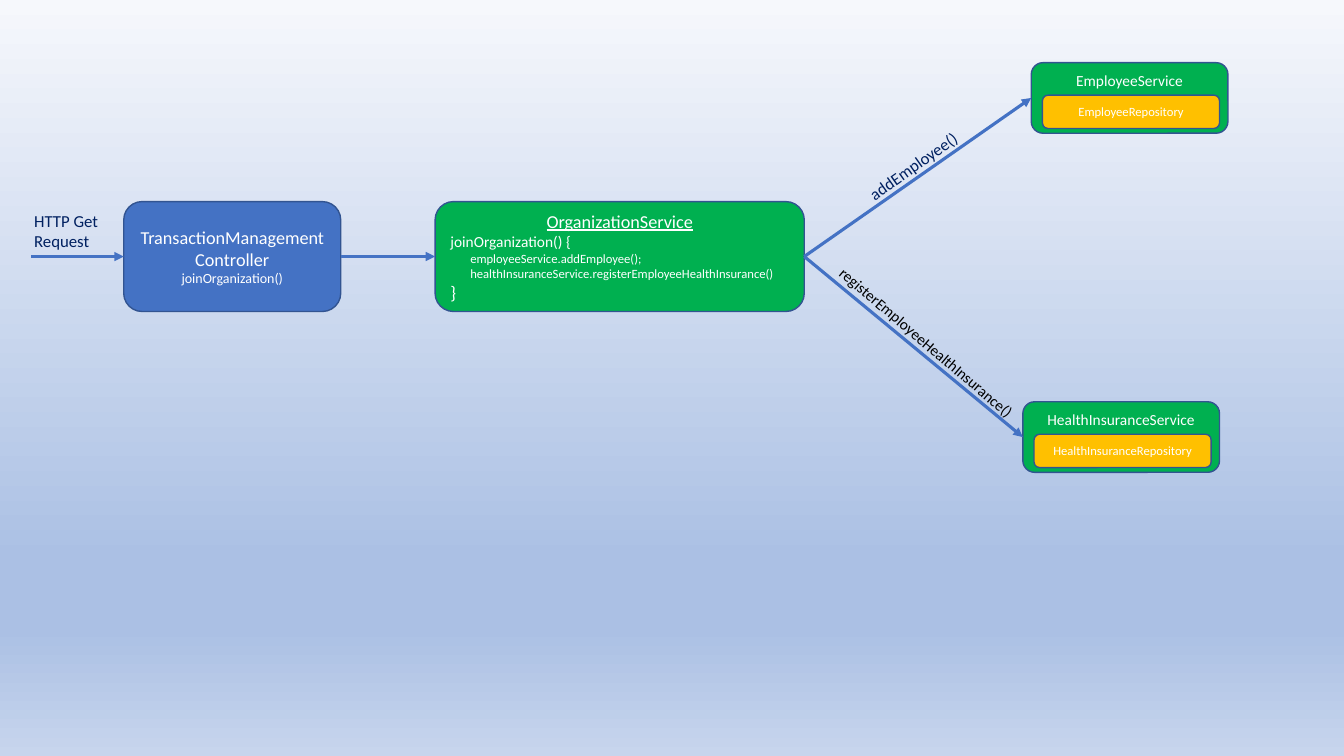
from copy import deepcopy

from lxml.etree import SubElement
from pptx import Presentation
from pptx.dml.color import RGBColor
from pptx.enum.shapes import MSO_CONNECTOR as CONN, MSO_SHAPE as SHAPE
from pptx.enum.text import MSO_ANCHOR as ANCHOR, MSO_AUTO_SIZE as AUTO, PP_ALIGN as ALIGN
from pptx.oxml.ns import qn
from pptx.util import Pt

BLUE = RGBColor(0x44, 0x72, 0xC4)
OUTLINE = RGBColor(0x32, 0x54, 0x91)
GREEN = RGBColor(0x00, 0xB0, 0x50)
AMBER = RGBColor(0xFF, 0xC0, 0x00)
NAVY = RGBColor(0x00, 0x20, 0x60)
BLACK = RGBColor(0x00, 0x00, 0x00)
WHITE = RGBColor(0xFF, 0xFF, 0xFF)
MIST = RGBColor(0xF6, 0xF8, 0xFC)
SKY = RGBColor(0xAB, 0xC0, 0xE4)
HAZE = RGBColor(0xC7, 0xD5, 0xED)


def add_text(tf, text, size=11, color=WHITE, align=ALIGN.CENTER, underline=False):
    """Write one formatted paragraph into a text frame."""
    p = tf.paragraphs[0]
    if p.runs:
        p = tf.add_paragraph()
    p.alignment = align
    r = p.add_run()
    r.text = text
    r.font.name = "Calibri"
    r.font.size = Pt(size)
    r.font.color.rgb = color
    r.font.underline = underline


class Diagram:
    """Draw call-flow elements in one style on one slide."""

    def __init__(self, s):
        self.s = s

    def background(self, stops):
        fill = self.s.background.fill
        fill.gradient()
        fill.gradient_angle = 270
        first = fill.gradient_stops[0]._gs
        for _ in stops[2:]:
            first.addnext(deepcopy(first))
        for stop, (position, color) in zip(fill.gradient_stops, stops):
            stop.position = position
            stop.color.rgb = color

    def box(self, x, y, w, h, fill, anchor=ANCHOR.MIDDLE):
        sp = self.s.shapes.add_shape(SHAPE.ROUNDED_RECTANGLE, Pt(x), Pt(y), Pt(w), Pt(h))
        sp.shadow.inherit = False
        sp.fill.solid()
        sp.fill.fore_color.rgb = fill
        sp.line.color.rgb = OUTLINE
        sp.line.width = Pt(1)
        sp.text_frame.word_wrap = True
        sp.text_frame.vertical_anchor = anchor
        return sp

    def service(self, x, y, name):
        sp = self.box(x, y, 140.5, 50.4, GREEN, ANCHOR.TOP)
        add_text(sp.text_frame, f"{name}Service")
        repository = self.box(x + 8, y + 23.2, 126.5, 23.8, AMBER)
        add_text(repository.text_frame, f"{name}Repository", size=9)
        return sp

    def arrow(self, target, source=None):
        y = target.top + target.height // 2
        cxn = self.s.shapes.add_connector(CONN.STRAIGHT, Pt(22.2), y, target.left, y)
        if source is not None:
            cxn.begin_connect(source, 3)
        cxn.end_connect(target, 1)
        cxn.line.color.rgb = BLUE
        cxn.line.width = Pt(2.25)
        SubElement(cxn.line._get_or_add_ln(), qn("a:tailEnd"), type="triangle")
        SubElement(cxn._element.spPr, qn("a:effectLst"))

    def label(self, x, y, w, h, text, size=12, color=NAVY, rotation=0):
        sp = self.s.shapes.add_textbox(Pt(x), Pt(y), Pt(w), Pt(h))
        sp.rotation = rotation
        tf = sp.text_frame
        tf.word_wrap = True
        tf.auto_size = AUTO.SHAPE_TO_FIT_TEXT
        add_text(tf, text, size=size, color=color, align=ALIGN.LEFT)


def main():
    """Build the call-flow slide."""
    prs = Presentation()
    prs.slide_width, prs.slide_height = Pt(960), Pt(540)
    d = Diagram(prs.slides.add_slide(prs.slide_layouts[6]))
    d.background([(0, MIST), (0.74, SKY), (0.83, SKY), (1, HAZE)])

    controller = d.box(88.4, 144, 155, 78.5, BLUE)
    add_text(controller.text_frame, "TransactionManagement Controller", size=13)
    add_text(controller.text_frame, "joinOrganization()", size=10)

    organization = d.box(310.8, 144, 263.7, 78.5, GREEN)
    tf = organization.text_frame
    add_text(tf, "OrganizationService", size=13, underline=True)
    for text, size in [
        ("joinOrganization() {", 11),
        ("       employeeService.addEmployee();", 9),
        ("       healthInsuranceService.registerEmployeeHealthInsurance()", 9),
        ("}", 13),
    ]:
        add_text(tf, text, size=size, align=ALIGN.LEFT)

    employee = d.service(736.6, 44.8, "Employee")
    insurance = d.service(730.6, 287, "HealthInsurance")

    d.arrow(controller)
    d.arrow(organization, controller)
    d.arrow(employee, organization)
    d.arrow(insurance, organization)

    d.label(17.3, 146.9, 95, 36, "HTTP Get Request")
    d.label(607.7, 105.8, 95, 21.8, "addEmployee()", rotation=-35.4)
    d.label(572.4, 242.6, 198, 20.6, "registerEmployeeHealthInsurance()",
            size=11, color=BLACK, rotation=40.4)
    prs.save("out.pptx")


if __name__ == "__main__":
    main()
